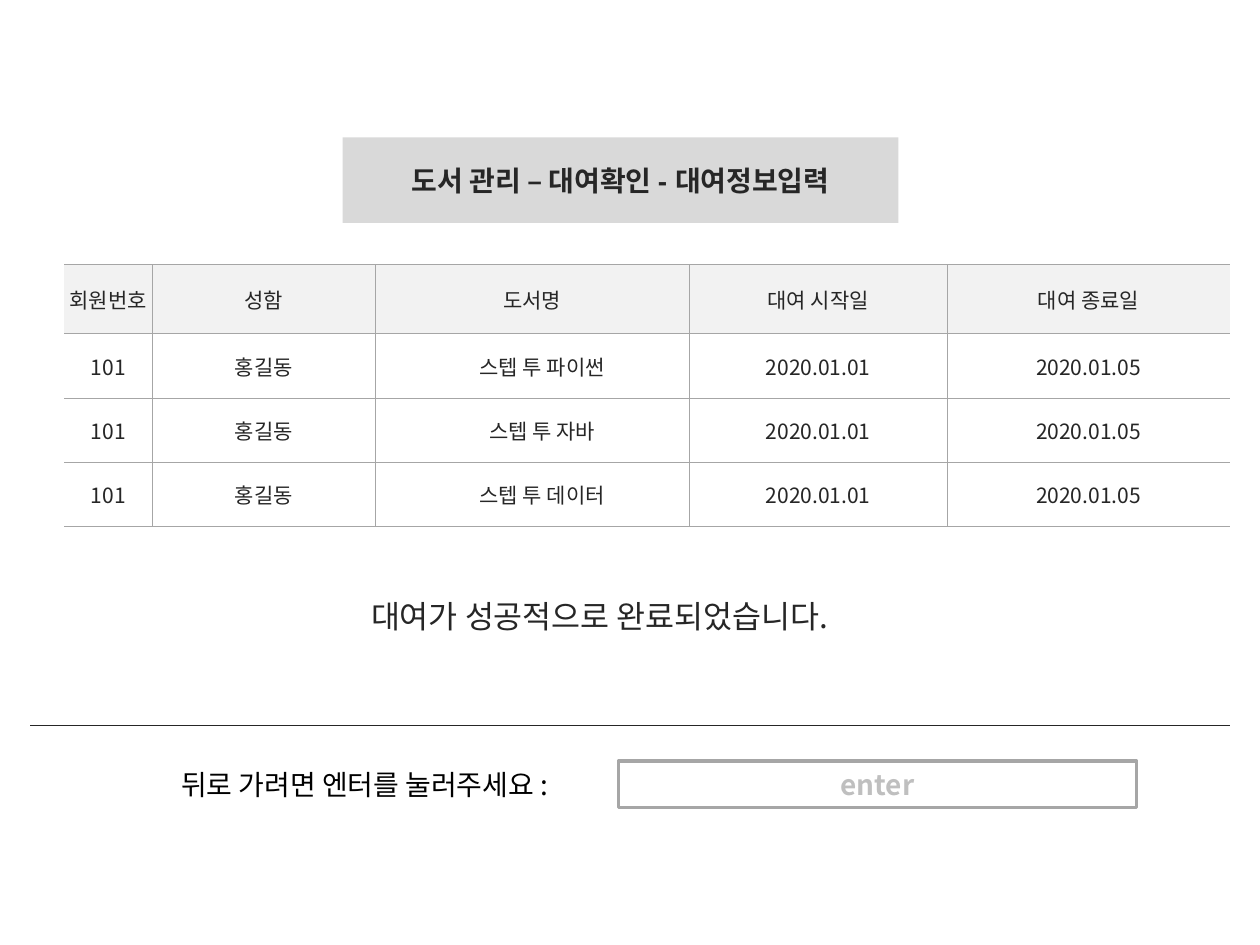
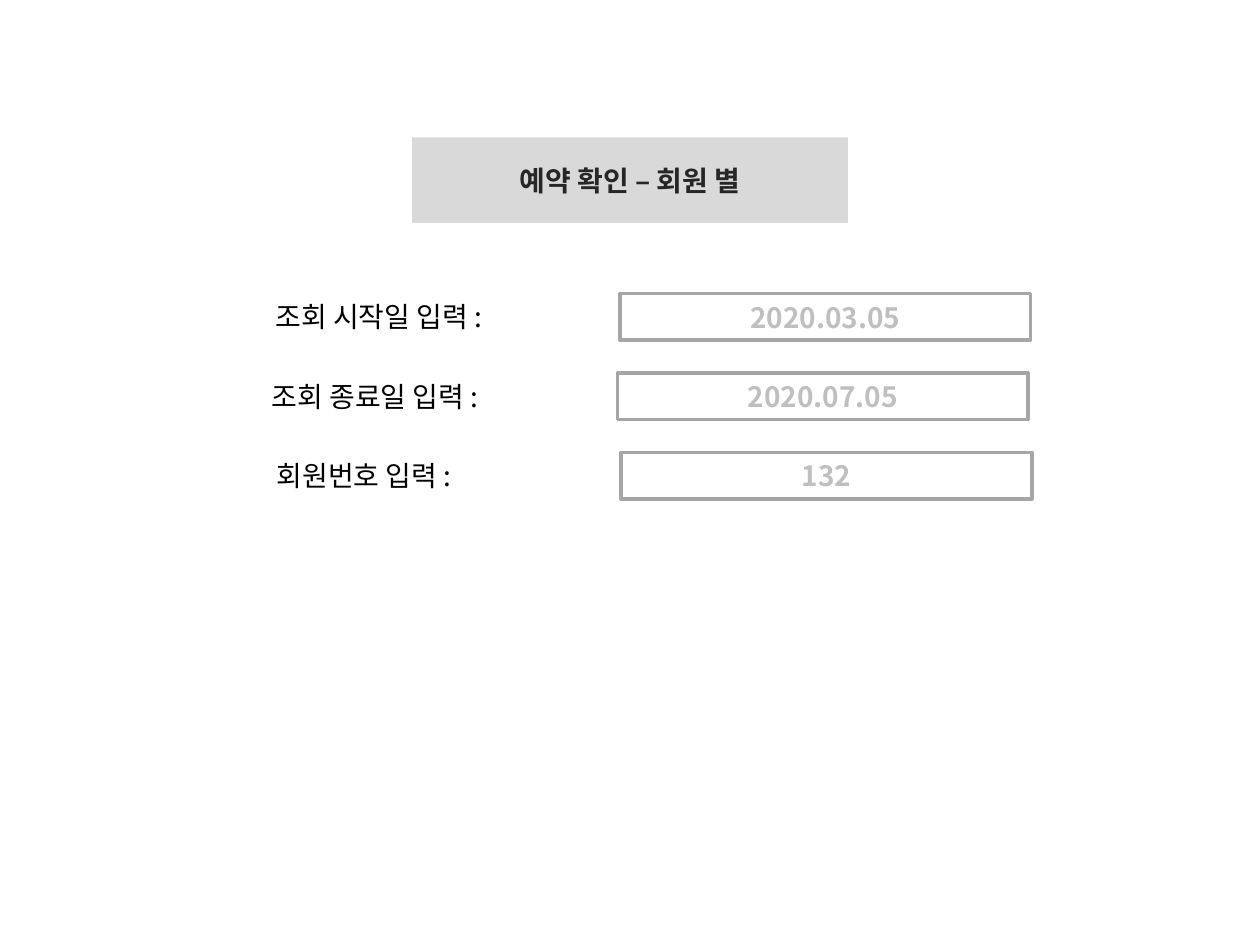
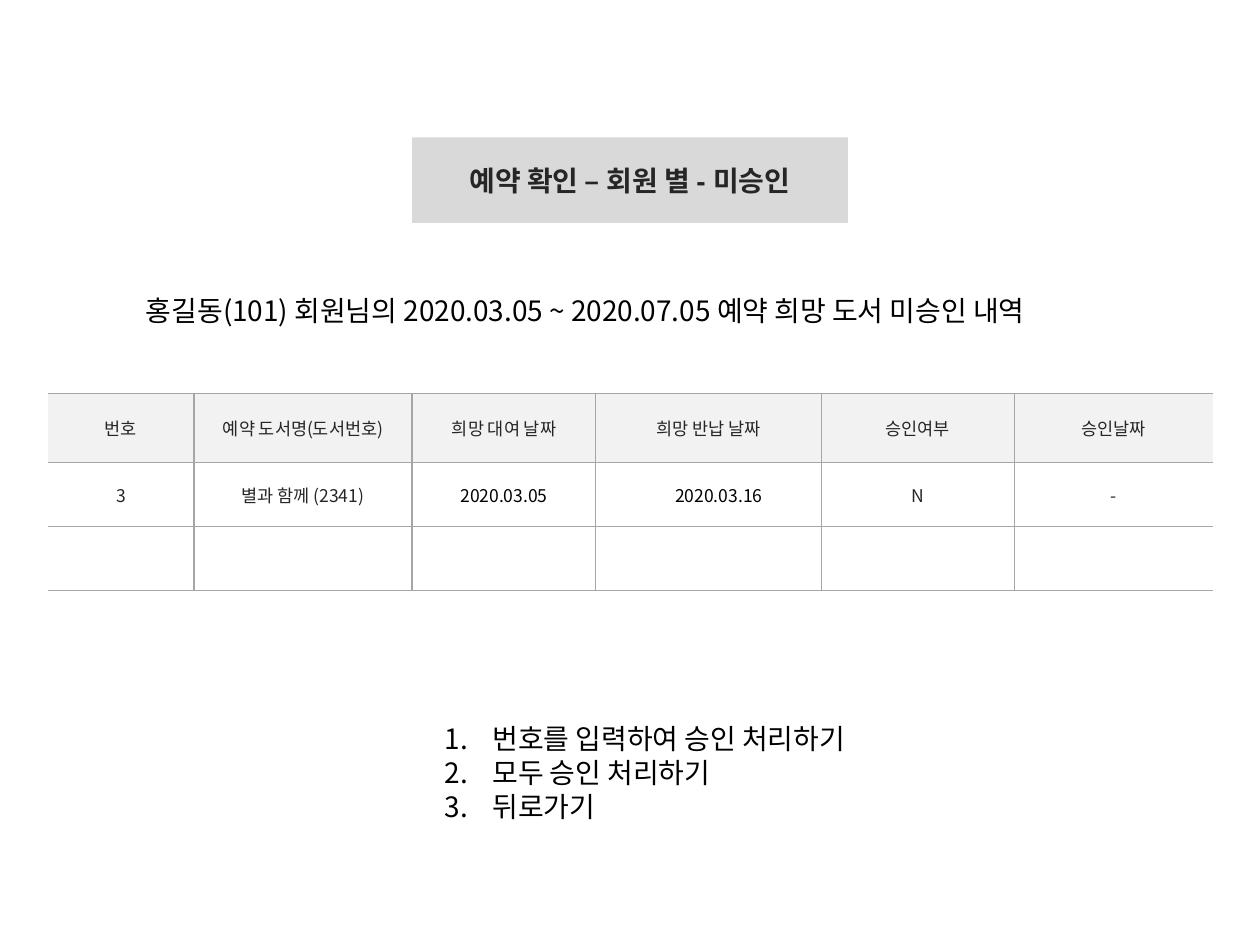
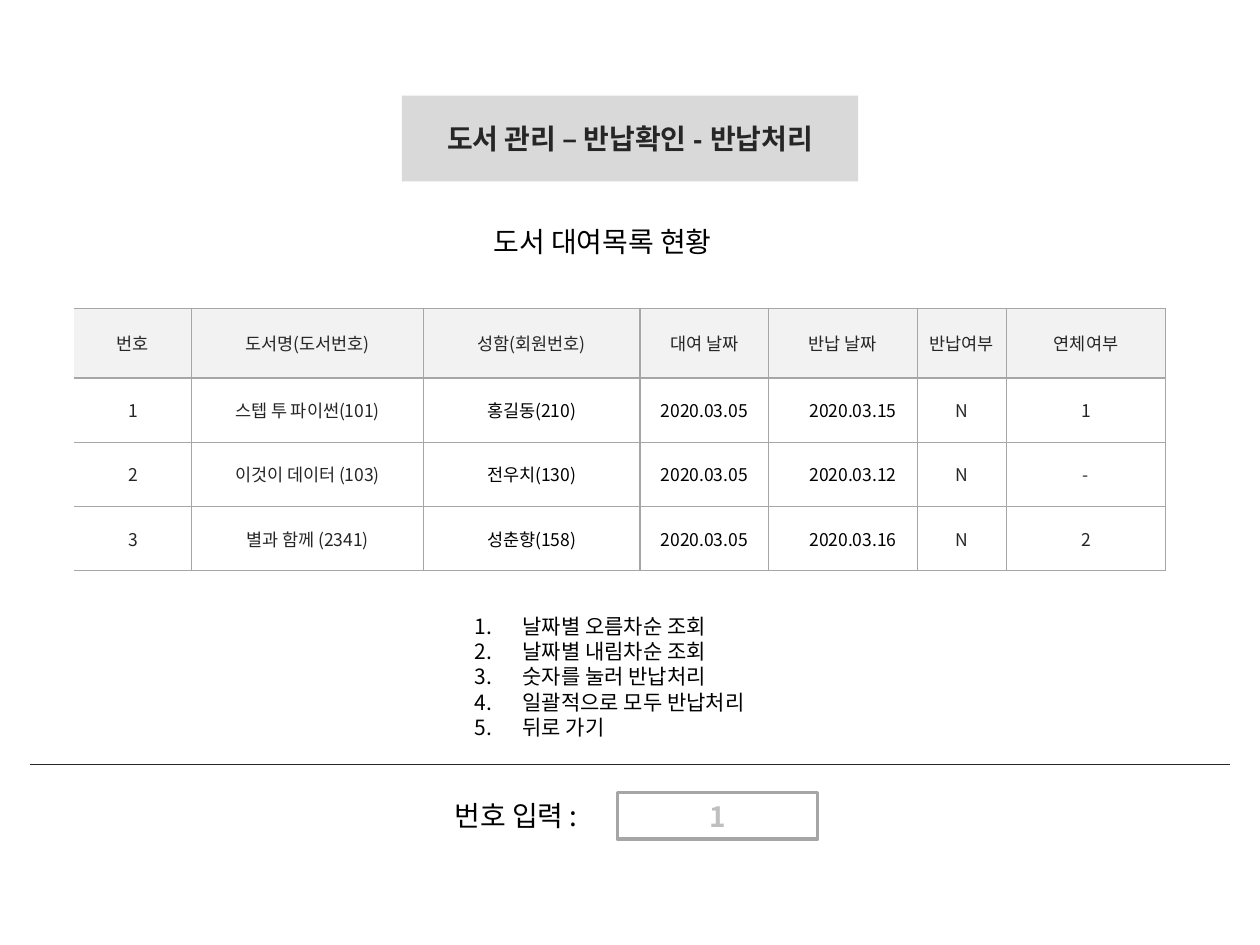
from lxml.etree import SubElement
from pptx import Presentation
from pptx.dml.color import RGBColor
from pptx.enum.shapes import MSO_CONNECTOR, MSO_SHAPE
from pptx.enum.text import MSO_ANCHOR, MSO_AUTO_SIZE, PP_ALIGN
from pptx.oxml.ns import qn
from pptx.util import Inches, Pt

SLIDE_WIDTH, SLIDE_HEIGHT = 10, 7.5
BLACK, INK, BORDER, HINT = "000000", "262626", "A6A6A6", "BFBFBF"
BAND, HEADER, WHITE = "D9D9D9", "F2F2F2", "FFFFFF"
KOREAN, LATIN = "Noto Sans CJK KR", "Arial"
BAND_HEIGHT, FIELD_HEIGHT, FIELD_STEP = 0.68, 0.37, 0.63
HEADER_HEIGHT, ROW_HEIGHT, CELL_INDENT = 0.55, 0.51, 0.16
RULE_MARGIN, LIST_INDENT = 0.24, 0.38

# Tables: "indented" and "black" are column numbers that apply below the header.
RENTED = {
    "at": (0.51, 2.1), "size": 12, "columns": (0.7, 1.77, 2.49, 2.05, 2.24),
    "indented": {2}, "black": set(), "closed": False,
    "rows": [("회원번호", "성함", "도서명", "대여 시작일", "대여 종료일")]
    + [("101", "홍길동", book, "2020.01.01", "2020.01.05")
       for book in ("스텝 투 파이썬", "스텝 투 자바", "스텝 투 데이터")],
}
UNAPPROVED = {
    "at": (0.38, 3.12), "size": 10, "columns": (1.16, 1.73, 1.46, 1.79, 1.53, 1.58),
    "indented": {3}, "black": {2, 3}, "closed": False,
    "rows": [
        ("번호", "예약 도서명(도서번호)", "희망 대여 날짜", "희망 반납 날짜", "승인여부", "승인날짜"),
        ("3", "별과 함께 (2341)", "2020.03.05", "2020.03.16", "N", "-"),
        ("",) * 6,
    ],
}
ON_LOAN = {
    "at": (0.59, 2.45), "size": 10,
    "columns": (0.93, 1.84, 1.72, 1.02, 1.18, 0.71, 1.26),
    "indented": {4}, "black": {2, 3, 4}, "closed": True,
    "rows": [
        ("번호", "도서명(도서번호)", "성함(회원번호)", "대여 날짜", "반납 날짜", "반납여부", "연체여부"),
        ("1", "스텝 투 파이썬(101)", "홍길동(210)", "2020.03.05", "2020.03.15", "N", "1"),
        ("2", "이것이 데이터 (103)", "전우치(130)", "2020.03.05", "2020.03.12", "N", "-"),
        ("3", "별과 함께 (2341)", "성춘향(158)", "2020.03.05", "2020.03.16", "N", "2"),
    ],
}
# Query fields: label, label left and width, hint, field left
QUERIES = [
    ("조회 시작일 입력 :", 2.09, 2.14, "2020.03.05", 4.92),
    ("조회 종료일 입력 :", 2.06, 2.14, "2020.07.05", 4.9),
    ("회원번호 입력 :", 2.1, 1.83, "132", 4.93),
]
APPROVAL_MENU = ["번호를 입력하여 승인 처리하기", "모두 승인 처리하기", "뒤로가기"]
RETURN_MENU = ["날짜별 오름차순 조회", "날짜별 내림차순 조회", "숫자를 눌러 반납처리",
               "일괄적으로 모두 반납처리", "뒤로 가기"]


def rgb(color):
    return RGBColor.from_string(color)


def inches(*lengths):
    return [Inches(length) for length in lengths]


def style(para, size, color=BLACK, bold=False, name=KOREAN, align=PP_ALIGN.LEFT):
    para.alignment = align
    font = para.font
    font.size, font.bold, font.name = Pt(size), bold, name
    font.color.rgb = rgb(color)
    SubElement(para._p.pPr.find(qn("a:defRPr")), qn("a:ea"), typeface=KOREAN)


def add_page(deck, title, left, width, top=1.09):
    """Add a slide whose title sits on a grey band."""
    page = deck.slides.add_slide(deck.slide_layouts[5])
    band = page.shapes.title
    band.left, band.top, band.width, band.height = inches(left, top, width, BAND_HEIGHT)
    band.fill.solid()
    band.fill.fore_color.rgb = rgb(BAND)
    frame = band.text_frame
    frame.text = title
    frame.auto_size = MSO_AUTO_SIZE.NONE
    frame.vertical_anchor = MSO_ANCHOR.MIDDLE
    style(frame.paragraphs[0], 16, INK, True, LATIN, PP_ALIGN.CENTER)
    return page


def add_text(shapes, lines, at, size=16, color=BLACK, align=PP_ALIGN.LEFT, numbered=False):
    frame = shapes.add_textbox(*inches(*at)).text_frame
    frame.text = "\n".join(lines)
    frame.word_wrap = False
    frame.auto_size = MSO_AUTO_SIZE.SHAPE_TO_FIT_TEXT
    for para in frame.paragraphs:
        if numbered:
            properties = para._p.get_or_add_pPr()
            properties.set("marL", str(Inches(LIST_INDENT)))
            properties.set("indent", str(-Inches(LIST_INDENT)))
            SubElement(properties, qn("a:buAutoNum"), type="arabicPeriod")
        style(para, size, color, align=align)


def add_field(page, label, label_left, label_width, hint, left, width, top):
    """Group a label with the outlined box that takes its answer."""
    shapes = page.shapes.add_group_shape().shapes
    add_text(shapes, [label], (label_left, top, label_width, FIELD_HEIGHT))
    box = shapes.add_shape(MSO_SHAPE.RECTANGLE, *inches(left, top, width, FIELD_HEIGHT))
    box.shadow.inherit = False
    box.fill.solid()
    box.fill.fore_color.rgb = rgb(WHITE)
    box.line.color.rgb = rgb(BORDER)
    box.line.width = Pt(2)
    box.text_frame.text = hint
    box.text_frame.vertical_anchor = MSO_ANCHOR.MIDDLE
    style(box.text_frame.paragraphs[0], 16, HINT, True, align=PP_ALIGN.CENTER)


def add_rule(page, top):
    rule = page.shapes.add_connector(
        MSO_CONNECTOR.STRAIGHT, *inches(RULE_MARGIN, top, SLIDE_WIDTH - RULE_MARGIN, top))
    rule.line.color.rgb = rgb(INK)
    rule.line.width = Pt(0.75)
    SubElement(rule._element.spPr, qn("a:effectLst"))


def set_borders(cell, hidden):
    properties = cell._tc.get_or_add_tcPr()
    for side in ("lnL", "lnR", "lnT", "lnB"):
        line = SubElement(properties, qn(f"a:{side}"), w=str(Pt(0.75)))
        if side in hidden:
            SubElement(line, qn("a:noFill"))
        else:
            fill = SubElement(line, qn("a:solidFill"))
            SubElement(fill, qn("a:srgbClr"), val=BORDER)


def add_grid(page, data):
    rows, columns = data["rows"], data["columns"]
    heights = [HEADER_HEIGHT] + [ROW_HEIGHT] * (len(rows) - 1)
    table = page.shapes.add_table(
        len(rows), len(columns), *inches(*data["at"], sum(columns), sum(heights))).table
    for column, width in zip(table.columns, columns):
        column.width = Inches(width)
    for r, (texts, height) in enumerate(zip(rows, heights)):
        table.rows[r].height = Inches(height)
        for c, text in enumerate(texts):
            cell = table.cell(r, c)
            hidden = {"lnL"} if c == 0 else set()
            if c == len(columns) - 1 and not data["closed"]:
                hidden.add("lnR")
            set_borders(cell, hidden)
            cell.fill.solid()
            cell.fill.fore_color.rgb = rgb(WHITE if r else HEADER)
            cell.margin_left = Inches(CELL_INDENT if r and c in data["indented"] else 0)
            cell.margin_top = cell.margin_right = cell.margin_bottom = 0
            cell.vertical_anchor = MSO_ANCHOR.MIDDLE
            cell.text = text
            color = BLACK if r and c in data["black"] else INK
            style(cell.text_frame.paragraphs[0], data["size"], color, align=PP_ALIGN.CENTER)


def main():
    deck = Presentation()
    deck.slide_width, deck.slide_height = inches(SLIDE_WIDTH, SLIDE_HEIGHT)

    page = add_page(deck, "도서 관리 – 대여확인 - 대여정보입력", 2.72, 4.41)
    add_grid(page, RENTED)
    add_text(page.shapes, ["대여가 성공적으로 완료되었습니다."], (2.65, 4.69, 4.22, 0.4),
             18, INK, PP_ALIGN.CENTER)
    add_rule(page, 5.76)
    add_field(page, "뒤로 가려면 엔터를 눌러주세요 :", 1.34, 3.56, "enter", 4.91, 4.11, 6.04)

    page = add_page(deck, "예약 확인 – 회원 별", 3.27, 3.46)
    for i, query in enumerate(QUERIES):
        add_field(page, *query, width=3.26, top=2.33 + i * FIELD_STEP)

    page = add_page(deck, "예약 확인 – 회원 별 - 미승인", 3.27, 3.46)
    add_text(page.shapes,
             ["홍길동(101) 회원님의 2020.03.05 ~ 2020.07.05 예약 희망 도서 미승인 내역"],
             (1.06, 2.28, 7.89, 0.37))
    add_grid(page, UNAPPROVED)
    add_text(page.shapes, APPROVAL_MENU, (3.43, 5.68, 3.73, 0.91), numbered=True)

    page = add_page(deck, "도서 관리 – 반납확인 - 반납처리", 3.19, 3.62, 0.76)
    add_rule(page, 6.07)
    add_field(page, "번호 입력 :", 3.51, 1.39, "1", 4.9, 1.59, 6.29)
    add_grid(page, ON_LOAN)
    add_text(page.shapes, RETURN_MENU, (3.67, 4.82, 2.55, 1.11), 12, numbered=True)
    add_text(page.shapes, ["도서 대여목록 현황"], (3.82, 1.73, 2.23, 0.37))

    deck.save("out.pptx")


if __name__ == "__main__":
    main()
